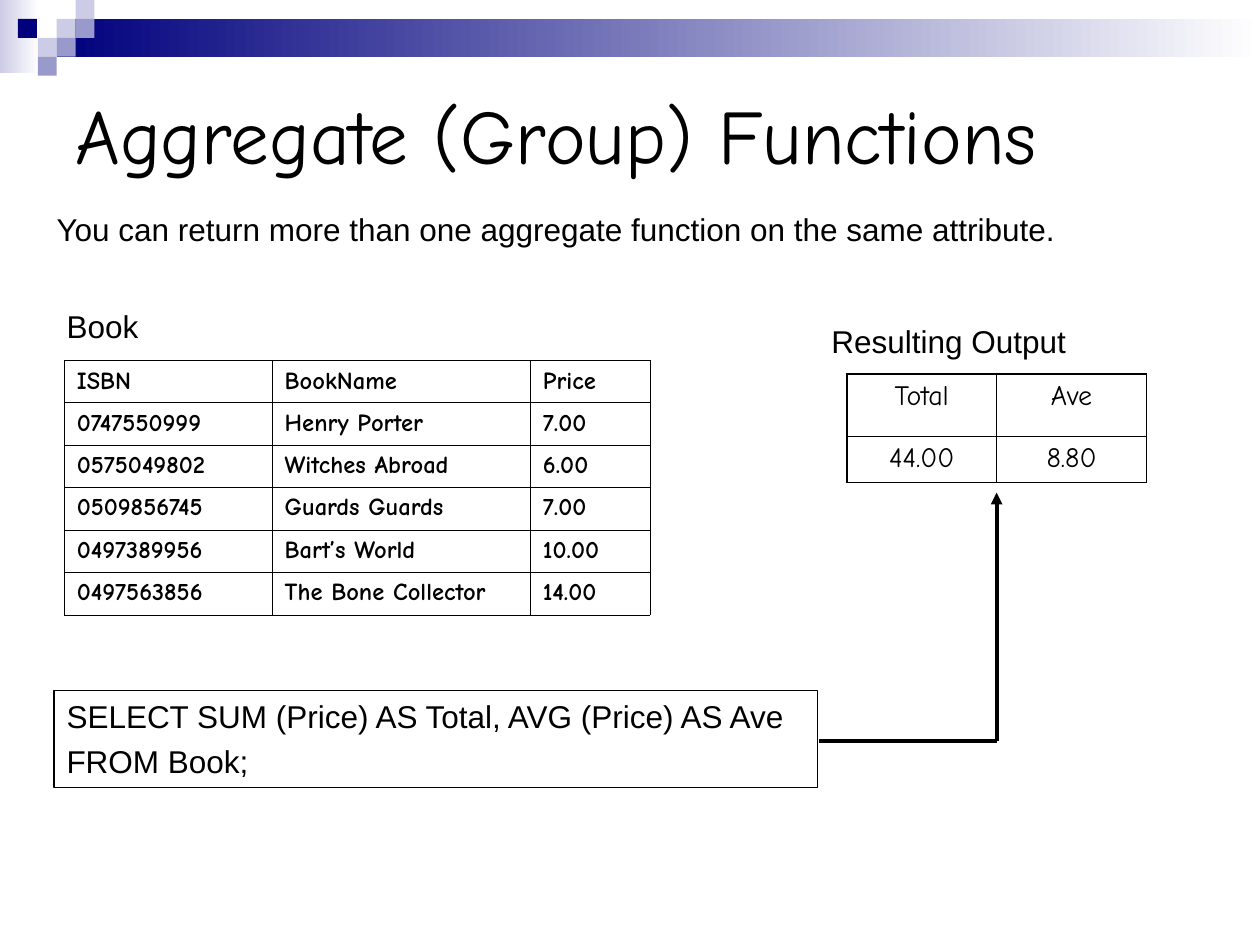
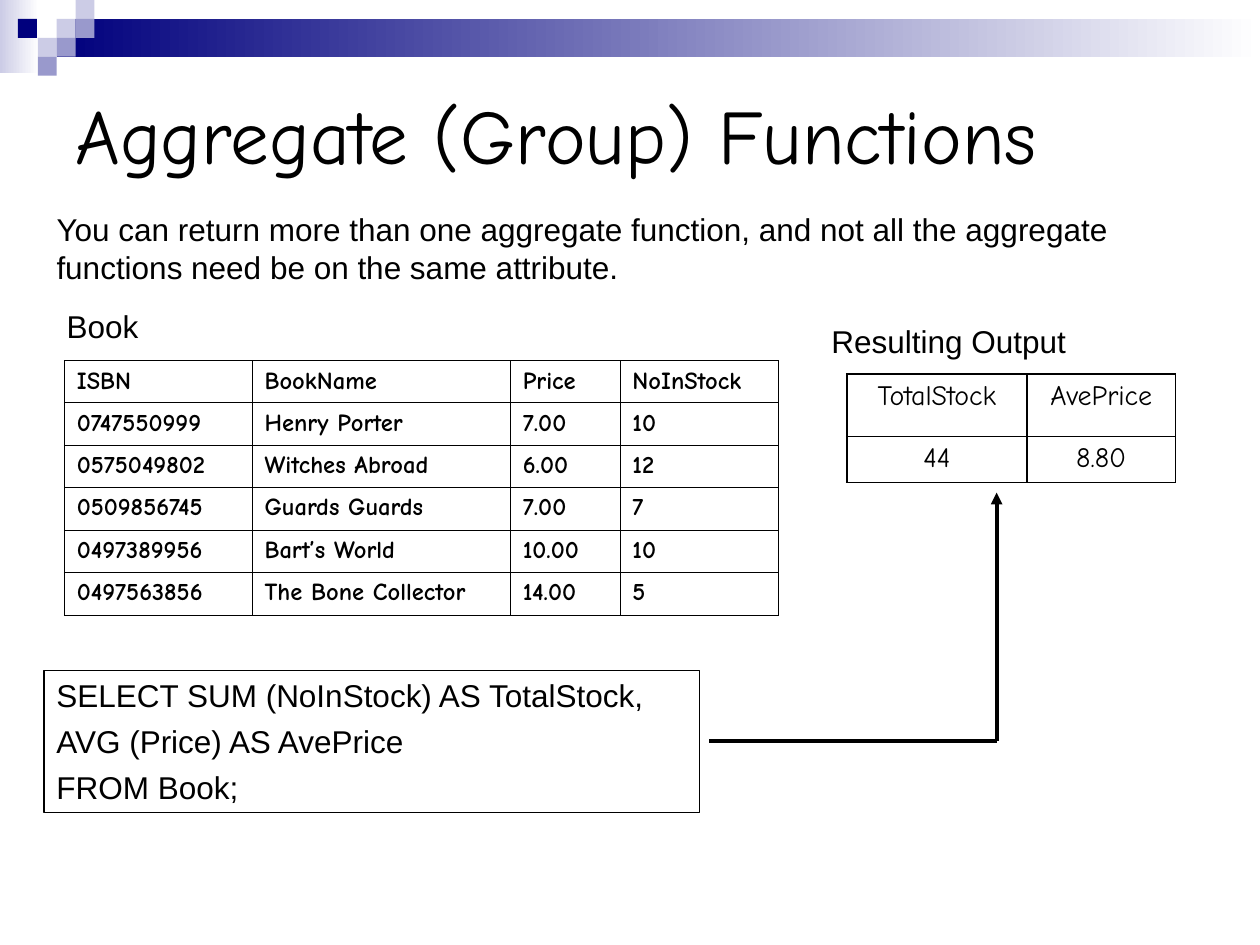
from dataclasses import dataclass

from lxml import etree
from pptx import Presentation
from pptx import util as u
from pptx.dml.color import RGBColor
from pptx.enum import shapes, text
from pptx.oxml.ns import qn


@dataclass(frozen=True)
class Theme:
    ink: str = "000000"
    paper: str = "FFFFFF"
    navy: str = "00007D"
    violet: str = "9999CC"
    lilac: str = "CCCCE6"
    title_font: str = "Comic Neue"
    body_font: str = "Arial"
    title_size: float = 44
    body_size: float = 18
    result_size: float = 16
    book_size: float = 14
    frame_width: float = 0.75
    arrow_width: float = 2.25
    book_rule: float = 0.34
    result_rule: float = 1.08
    result_inner_rule: float = 0.45


def rgb(color):
    return RGBColor.from_string(color)


def write(frame, content, *, font, size, color, bold=False, align=text.PP_ALIGN.LEFT, gap=0):
    for index, line in enumerate(content.split("\n")):
        paragraph = frame.add_paragraph() if index else frame.paragraphs[0]
        paragraph.alignment = align
        paragraph.space_before = u.Pt(gap if index else 0)
        run = paragraph.add_run()
        run.text = line
        run.font.name = font
        run.font.size = u.Pt(size)
        run.font.bold = bold
        run.font.color.rgb = rgb(color)


def rule_cell(cell, color, **widths):
    properties = cell._tc.get_or_add_tcPr()
    for side in ("L", "R", "T", "B"):
        edge = etree.SubElement(properties, qn(f"a:ln{side}"), w=str(u.Pt(widths[side])))
        fill = etree.SubElement(edge, qn("a:solidFill"))
        etree.SubElement(fill, qn("a:srgbClr"), val=color)


class Deck:
    def __init__(self, theme):
        self.theme = theme
        self.presentation = Presentation()
        self.presentation.slide_width = u.Inches(10)
        self.presentation.slide_height = u.Inches(7.5)
        self.slide = None

    def start(self, title):
        self.slide = self.presentation.slides.add_slide(self.presentation.slide_layouts[6])
        self.header()
        self.label(title, 0.5, 0.5, 9, 1.12, font=self.theme.title_font,
                   size=self.theme.title_size, anchor=text.MSO_ANCHOR.MIDDLE)

    def block(self, left, top, width, height, *colors):
        block = self.slide.shapes.add_shape(
            shapes.MSO_SHAPE.RECTANGLE, *map(u.Inches, (left, top, width, height)))
        block.shadow.inherit = False
        block.line.fill.background()
        if len(colors) == 1:
            block.fill.solid()
            block.fill.fore_color.rgb = rgb(colors[0])
        else:
            block.fill.gradient()
            block.fill.gradient_angle = 0
            for stop, color in zip(block.fill.gradient_stops, colors):
                stop.color.rgb = rgb(color)

    def header(self):
        t = self.theme
        self.block(0, 0, 0.31, 0.58, t.lilac, t.paper)
        self.block(0.45, 0.15, 9.55, 0.3, t.navy, t.paper)
        side = 0.15
        for column, row, color in (
            (3, 1, t.lilac), (4, 0, t.lilac), (4, 1, t.violet), (2, 2, t.lilac),
            (0.95, 1, t.navy), (3, 2, t.violet), (2, 3, t.violet),
        ):
            self.block(column * side, row * side, side, side, color)

    def label(self, content, left, top, width, height=0.4, *, font=None, size=None,
              anchor=text.MSO_ANCHOR.TOP, gap=0):
        box = self.slide.shapes.add_textbox(*map(u.Inches, (left, top, width, height)))
        box.text_frame.word_wrap = True
        box.text_frame.vertical_anchor = anchor
        write(box.text_frame, content, font=font or self.theme.body_font,
              size=size or self.theme.body_size, color=self.theme.ink, gap=gap)
        return box

    def query(self, sql, left, top, width, height):
        box = self.label(sql, left, top, width, height, gap=4.5)
        box.line.color.rgb = rgb(self.theme.ink)
        box.line.width = u.Pt(self.theme.frame_width)

    def line(self, start, end, arrow=False):
        line = self.slide.shapes.add_connector(
            shapes.MSO_CONNECTOR.STRAIGHT, *map(u.Inches, (*start, *end)))
        line.line.color.rgb = rgb(self.theme.ink)
        line.line.width = u.Pt(self.theme.arrow_width)
        if arrow:
            etree.SubElement(line.line._get_or_add_ln(), qn("a:tailEnd"), type="triangle")
        etree.SubElement(line._element.spPr, qn("a:effectLst"))

    def table(self, rows, left, top, columns, heights, *, outer, inner, size,
              bold=False, align=text.PP_ALIGN.LEFT,
              head_anchor=text.MSO_ANCHOR.TOP, body_fill=None):
        table = self.slide.shapes.add_table(
            len(rows), len(columns),
            *map(u.Inches, (left, top, sum(columns), sum(heights)))).table
        table.first_row = table.horz_banding = False
        for column, width in zip(table.columns, columns):
            column.width = u.Inches(width)
        for r, (row, height) in enumerate(zip(rows, heights)):
            table.rows[r].height = u.Inches(height)
            for c, value in enumerate(row):
                cell = table.cell(r, c)
                rule_cell(cell, self.theme.ink, L=outer, R=outer,
                          T=inner if r else outer,
                          B=inner if r < len(rows) - 1 else outer)
                if r and body_fill:
                    cell.fill.solid()
                    cell.fill.fore_color.rgb = rgb(body_fill)
                else:
                    cell.fill.background()
                cell.vertical_anchor = text.MSO_ANCHOR.TOP if r else head_anchor
                write(cell.text_frame, value, font=self.theme.title_font, size=size,
                      color=self.theme.ink, bold=bold, align=align)

    def example(self, intro, intro_height, books, book_columns,
                result, result_columns, sql, sql_box, arrow_start):
        t = self.theme
        self.start("Aggregate (Group) Functions")
        self.label(intro, 0.35, 1.62, 9.45, intro_height)
        self.query(sql, *sql_box)
        corner = (7.91, 5.88)
        self.line((arrow_start, corner[1]), corner)
        self.line(corner, (corner[0], 3.91), arrow=True)
        self.label("Book", 0.43, 2.39, 2.91)
        self.label("Resulting Output", 6.5, 2.51, 2.91)
        self.table(result, 6.72, 2.97, result_columns, (0.49, 0.37),
                   outer=t.result_rule, inner=t.result_inner_rule,
                   size=t.result_size, align=text.PP_ALIGN.CENTER)
        self.table(books, 0.51, 2.86, book_columns, [2.02 / len(books)] * len(books),
                   outer=t.book_rule, inner=t.book_rule, size=t.book_size, bold=True,
                   head_anchor=text.MSO_ANCHOR.MIDDLE, body_fill=t.paper)


BOOKS = [
    ("ISBN", "BookName", "Price", "NoInStock"),
    ("0747550999", "Henry Porter", "7.00", "10"),
    ("0575049802", "Witches Abroad", "6.00", "12"),
    ("0509856745", "Guards Guards", "7.00", "7"),
    ("0497389956", "Bart’s World", "10.00", "10"),
    ("0497563856", "The Bone Collector", "14.00", "5"),
]


def main():
    deck = Deck(Theme())
    deck.example(
        intro="You can return more than one aggregate function on the same attribute.",
        intro_height=0.4,
        books=[book[:3] for book in BOOKS],
        book_columns=(1.65, 2.05, 0.95),
        result=[("Total", "Ave"), ("44.00", "8.80")],
        result_columns=(1.19, 1.19),
        sql="SELECT SUM (Price) AS Total, AVG (Price) AS Ave\nFROM Book;",
        sql_box=(0.43, 5.48, 6.06, 0.77),
        arrow_start=6.5,
    )
    deck.example(
        intro="You can return more than one aggregate function, and not all the "
              "aggregate functions need be on the same attribute.",
        intro_height=0.7,
        books=BOOKS,
        book_columns=(1.49, 2.05, 0.87, 1.26),
        result=[("TotalStock", "AvePrice"), ("44", "8.80")],
        result_columns=(1.43, 1.18),
        sql="SELECT SUM (NoInStock) AS TotalStock,\nAVG (Price) AS AvePrice\nFROM Book;",
        sql_box=(0.35, 5.32, 5.2, 1.13),
        arrow_start=5.63,
    )
    deck.presentation.save("out.pptx")


if __name__ == "__main__":
    main()
